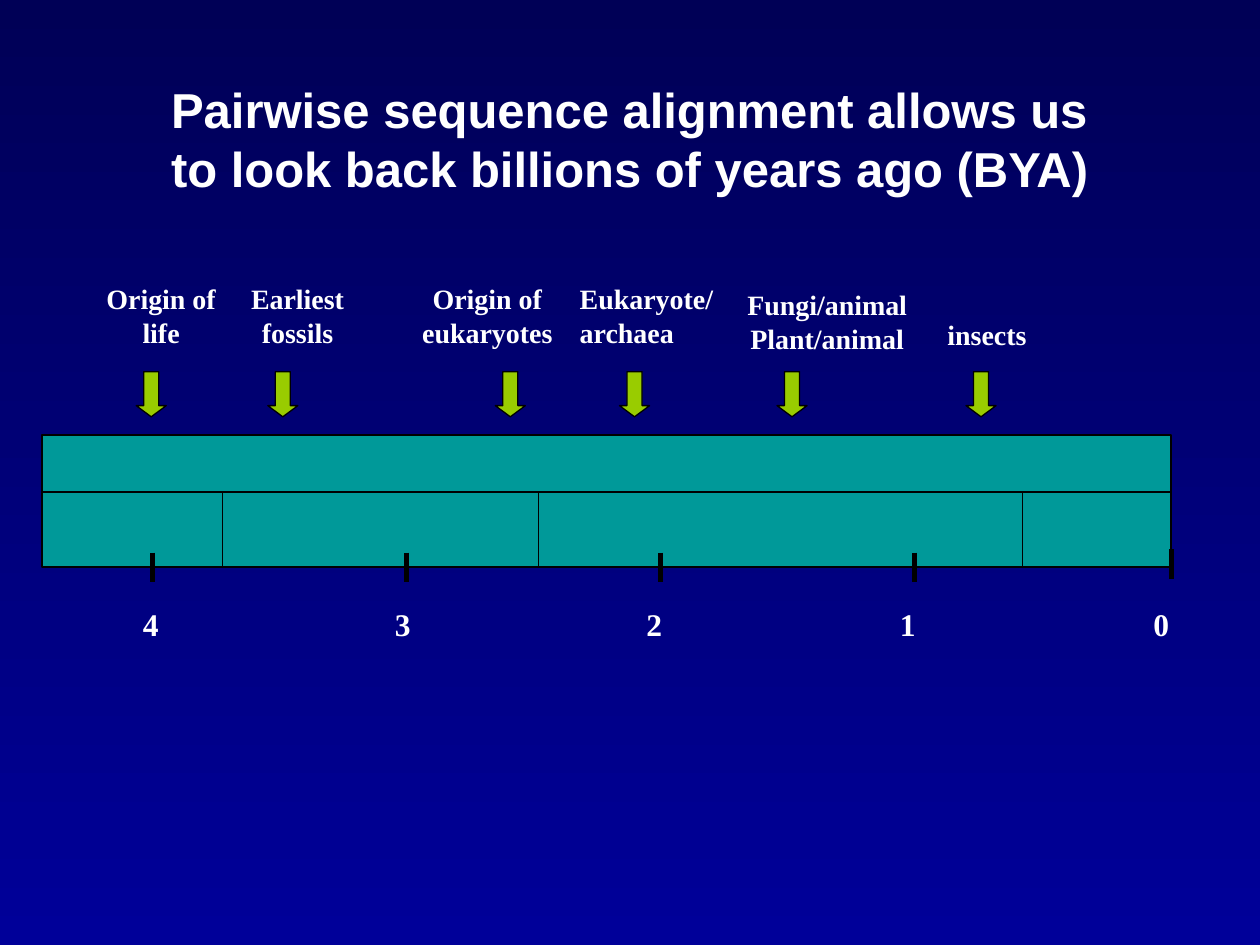
from lxml import etree
from pptx import Presentation
from pptx.dml.color import RGBColor
from pptx.enum import shapes, text
from pptx.oxml.ns import qn
from pptx.util import Pt

NAVY_TOP = RGBColor(0x00, 0x00, 0x56)
NAVY_BOTTOM = RGBColor(0x00, 0x00, 0x99)
TEAL = RGBColor(0x00, 0x99, 0x99)
GREEN = RGBColor(0x99, 0xCC, 0x00)
BLACK = RGBColor(0x00, 0x00, 0x00)
WHITE = RGBColor(0xFF, 0xFF, 0xFF)

CENTER, LEFT = text.PP_ALIGN.CENTER, text.PP_ALIGN.LEFT

# Timeline bar
BAR_LEFT, BAR_TOP, BAR_WIDTH, BAR_HEIGHT = 24, 248.6, 645.2, 75.4
BAR_RIGHT, BAR_BOTTOM = BAR_LEFT + BAR_WIDTH, BAR_TOP + BAR_HEIGHT
MIDDLE = 281.1
DIVIDERS = (127.2, 307.8, 584.5)

# Billions of years ago: label, label left, tick x, tick top
TICKS = (
    ("4", 74.6, 87.1, 315.8),
    ("3", 218.6, 232.4, 315.8),
    ("2", 362.2, 377.4, 315.8),
    ("1", 507.1, 522.6, 315.8),
    ("0", 652, 669.4, 314),
)

# Event lines, label left, top, width, height, alignment, arrow left
EVENTS = (
    (("Origin of", "life"), 52.1, 157.3, 80, 46, CENTER, 77.8),
    (("Earliest", "fossils"), 135, 157.3, 70, 46, CENTER, 153),
    (("Origin of", "eukaryotes"), 231.5, 157.3, 94, 46, CENTER, 283),
    (("Eukaryote/", "archaea"), 324.2, 157.3, 90.7, 46, LEFT, 354),
    (("Fungi/animal", "Plant/animal"), 414, 160.8, 117.4, 46, CENTER, 444),
    (("insects",), 532, 177.8, 64, 26.6, CENTER, 552),
)


def write_text(shape, lines, size, font_name, alignment):
    frame = shape.text_frame
    frame.word_wrap = False
    frame.auto_size = text.MSO_AUTO_SIZE.SHAPE_TO_FIT_TEXT
    frame.vertical_anchor = text.MSO_ANCHOR.TOP
    frame.text = "\n".join(lines)
    for paragraph in frame.paragraphs:
        paragraph.alignment = alignment
        paragraph.font.size = Pt(size)
        paragraph.font.name = font_name
        paragraph.font.bold = True
        paragraph.font.color.rgb = WHITE


def add_label(slide, lines, left, top, width, height, size, alignment):
    box = slide.shapes.add_textbox(Pt(left), Pt(top), Pt(width), Pt(height))
    write_text(box, lines, size, "Times New Roman", alignment)


def add_block(slide, kind, left, top, width, height, color, line_width):
    shape = slide.shapes.add_shape(kind, Pt(left), Pt(top), Pt(width), Pt(height))
    shape.shadow.inherit = False
    shape.fill.solid()
    shape.fill.fore_color.rgb = color
    shape.line.color.rgb = BLACK
    shape.line.width = Pt(line_width)
    return shape


def add_line(slide, x1, y1, x2, y2, width):
    line = slide.shapes.add_connector(
        shapes.MSO_CONNECTOR.STRAIGHT, Pt(x1), Pt(y1), Pt(x2), Pt(y2))
    line.line.color.rgb = BLACK
    line.line.width = Pt(width)
    etree.SubElement(line._element.spPr, qn("a:effectLst"))


def set_background(slide):
    fill = slide.background.fill
    fill.gradient()
    fill.gradient_angle = 270
    for stop, color in zip(fill.gradient_stops, (NAVY_TOP, NAVY_BOTTOM)):
        stop.color.rgb = color


def set_title(slide):
    title = slide.shapes.title
    title.left, title.top, title.width, title.height = Pt(90.6), Pt(42), Pt(540.7), Pt(75)
    lines = ("Pairwise sequence alignment allows us",
             "to look back billions of years ago (BYA)")
    write_text(title, lines, 28, "Arial", LEFT)


def main():
    presentation = Presentation()
    presentation.slide_width, presentation.slide_height = Pt(720), Pt(540)
    slide = presentation.slides.add_slide(presentation.slide_layouts[5])
    set_background(slide)
    set_title(slide)

    # Bar with its inner lines
    add_block(slide, shapes.MSO_SHAPE.RECTANGLE,
              BAR_LEFT, BAR_TOP, BAR_WIDTH, BAR_HEIGHT, TEAL, 1.5)
    add_line(slide, BAR_RIGHT, MIDDLE, BAR_LEFT, MIDDLE, 0.75)
    for x in DIVIDERS:
        add_line(slide, x, MIDDLE, x, BAR_BOTTOM, 0.75)

    # Time scale
    for label, left, x, top in TICKS:
        add_label(slide, (label,), left, 342, 23, 29, 18, LEFT)
        add_line(slide, x, top, x, top + 17, 3)

    # Events and their arrows
    for lines, left, top, width, height, alignment, arrow_left in EVENTS:
        add_label(slide, lines, left, top, width, height, 16, alignment)
        arrow = add_block(slide, shapes.MSO_SHAPE.DOWN_ARROW,
                          arrow_left, 212.4, 17.2, 25.8, GREEN, 0.75)
        arrow.adjustments[1] = 0.37

    presentation.save("out.pptx")


if __name__ == "__main__":
    main()
